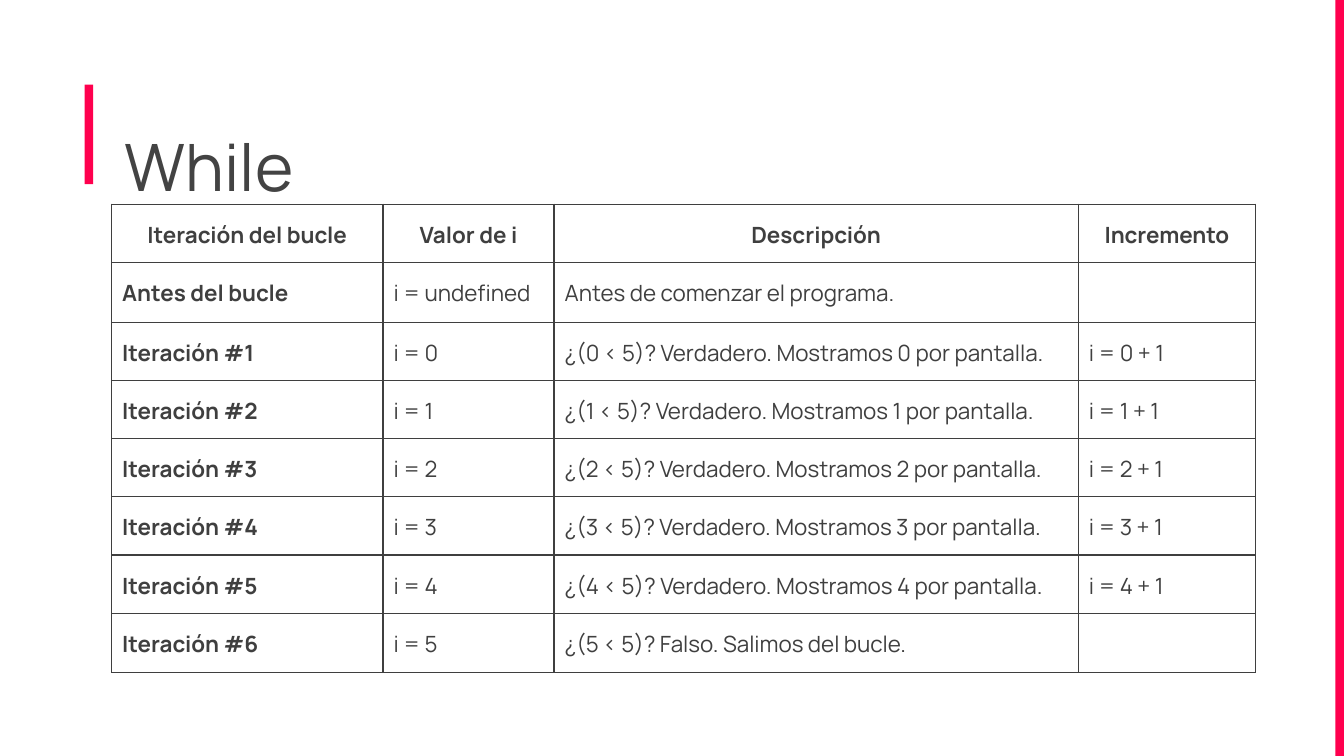
from pptx import Presentation
from pptx.dml.color import RGBColor
from pptx.enum.shapes import MSO_SHAPE
from pptx.enum.text import MSO_ANCHOR, PP_ALIGN
from pptx.oxml import parse_xml
from pptx.oxml.ns import nsdecls
from pptx.util import Cm, Pt

FONT = "Manrope"
ACCENT = RGBColor(0xFF, 0x00, 0x4E)
TITLE_GRAY = RGBColor(0x43, 0x43, 0x43)
TABLE_GRAY = RGBColor(0x3F, 0x3F, 0x3F)

COL_WIDTHS = (5.13, 3.23, 9.91, 3.35)
ROW_HEIGHT = 1.1
ROW_HEIGHT_WITH_GAP = 1.13  # rows without an increment are slightly taller
HEADER = ("Iteración del bucle", "Valor de i", "Descripción", "Incremento")
LIMIT = 5


def loop_rows():
    """One row per step of the loop, from before it starts until it ends."""
    rows = [HEADER,
            ("Antes del bucle", "i = undefined", "Antes de comenzar el programa.", "")]
    for i in range(LIMIT + 1):
        if i < LIMIT:
            result, increment = f"Verdadero. Mostramos {i} por pantalla.", f"i = {i} + 1"
        else:
            result, increment = "Falso. Salimos del bucle.", ""
        rows.append((f"Iteración #{i + 1}", f"i = {i}",
                     f"¿({i} < {LIMIT})? {result}", increment))
    return rows


def set_font(p, size, color, bold=False):
    p.font.name = FONT
    p.font.size = Pt(size)
    p.font.color.rgb = color
    p.font.bold = bold


def add_bar(s, left, top, width, height):
    sp = s.shapes.add_shape(MSO_SHAPE.RECTANGLE, Cm(left), Cm(top), Cm(width), Cm(height))
    sp.shadow.inherit = False
    sp.fill.solid()
    sp.fill.fore_color.rgb = ACCENT
    sp.line.fill.background()


def add_title(s, text):
    tf = s.shapes.add_textbox(Cm(2.11), Cm(1.98), Cm(19.53), Cm(1.88)).text_frame
    tf.word_wrap = True
    tf.vertical_anchor = MSO_ANCHOR.BOTTOM
    tf.margin_top = tf.margin_bottom = 0
    p = tf.paragraphs[0]
    p.text = text
    set_font(p, 35, TITLE_GRAY)


def set_borders(cell):
    tc_pr = cell._tc.get_or_add_tcPr()
    for i, side in enumerate(("lnL", "lnR", "lnT", "lnB")):
        tc_pr.insert(i, parse_xml(
            f'<a:{side} {nsdecls("a")} w="{Pt(0.75)}"><a:solidFill>'
            f'<a:srgbClr val="{TABLE_GRAY}"/></a:solidFill></a:{side}>'))


def fill_cell(cell, text, bold, align):
    cell.fill.background()
    cell.margin_left = cell.margin_right = Cm(0.2)
    cell.margin_top = cell.margin_bottom = Cm(0.2)
    p = cell.text_frame.paragraphs[0]
    p.text = text
    p.alignment = align
    p.line_spacing = 1.15
    set_font(p, 12, TABLE_GRAY, bold)
    set_borders(cell)


def add_loop_table(s, rows):
    heights = [ROW_HEIGHT if row[-1] else ROW_HEIGHT_WITH_GAP for row in rows]
    table = s.shapes.add_table(len(rows), len(COL_WIDTHS), Cm(2.11), Cm(3.86),
                               Cm(sum(COL_WIDTHS)), Cm(sum(heights))).table
    table.first_row = table.horz_banding = False
    for col, width in zip(table.columns, COL_WIDTHS):
        col.width = Cm(width)
    for r, (row, height) in enumerate(zip(rows, heights)):
        table.rows[r].height = Cm(height)
        for c, text in enumerate(row):
            align = PP_ALIGN.CENTER if r == 0 else PP_ALIGN.LEFT
            fill_cell(table.cell(r, c), text, r == 0 or c == 0, align)


def main():
    prs = Presentation()
    prs.slide_width, prs.slide_height = Cm(25.4), Cm(14.29)
    s = prs.slides.add_slide(prs.slide_layouts[6])
    add_bar(s, 1.6, 1.6, 0.16, 1.88)
    add_bar(s, 25.24, 0, 0.16, 14.29)
    add_title(s, "While")
    add_loop_table(s, loop_rows())
    prs.save("out.pptx")


if __name__ == "__main__":
    main()
